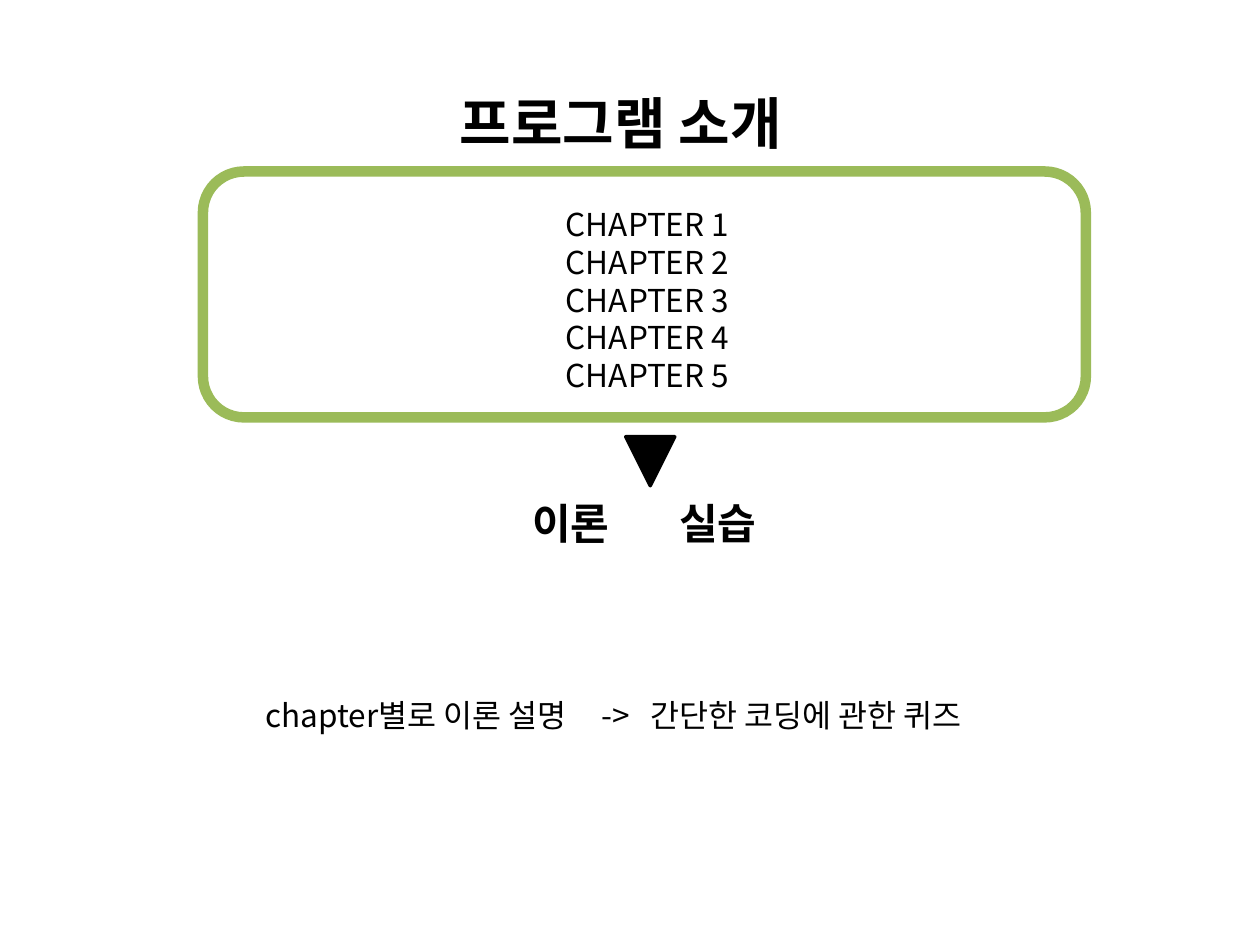
import pptx
import pptx.dml.color
import pptx.enum.shapes
import pptx.enum.text
import pptx.oxml.ns
import pptx.util
from lxml import etree

Pt = pptx.util.Pt
SHAPE = pptx.enum.shapes.MSO_SHAPE
ALIGN = pptx.enum.text.PP_ALIGN
qn = pptx.oxml.ns.qn


def rgb(value):
    return pptx.dml.color.RGBColor.from_string(value)


class Deck:
    font = "Noto Sans CJK KR"
    ink = "000000"
    paper = "FFFFFF"
    green = "9BBB59"
    line_height = 1.2

    def __init__(self, width, height):
        self.prs = pptx.Presentation()
        self.prs.slide_width, self.prs.slide_height = Pt(width), Pt(height)
        self.s = self.prs.slides.add_slide(self.prs.slide_layouts[6])

    def shape(self, kind, x, y, w, h, fill, line, weight):
        sp = self.s.shapes.add_shape(kind, Pt(x), Pt(y), Pt(w), Pt(h))
        sp.shadow.inherit = False
        sp.fill.solid()
        sp.fill.fore_color.rgb = rgb(fill)
        sp.line.color.rgb = rgb(line)
        sp.line.width = Pt(weight)
        etree.SubElement(sp.element.spPr.find(qn("a:ln")), qn("a:round"))

    def text(self, text, x, y, w, h, size=18, bold=False,
             align=ALIGN.LEFT, inset=7.2, tabs=()):
        """Add one paragraph per line of text; tabs are stops from the inset."""
        sp = self.s.shapes.add_textbox(Pt(x), Pt(y), Pt(w), Pt(h))
        tf = sp.text_frame
        tf.word_wrap = True
        tf.margin_left = Pt(inset)
        # Tight line spacing lifts the first line, so the top inset offsets it.
        tf.margin_top = Pt(3.6 + 0.11 * size)
        for i, line in enumerate(text.split("\n")):
            p = tf.add_paragraph() if i else tf.paragraphs[0]
            p.alignment = align
            p.line_spacing = Pt(self.line_height * size)
            if tabs:
                stops = etree.SubElement(p._p.get_or_add_pPr(), qn("a:tabLst"))
                for stop in tabs:
                    etree.SubElement(stops, qn("a:tab"), pos=str(Pt(stop)), algn="l")
            r = p.add_run()
            r.text = line
            r.font.name = self.font
            r.font.size = Pt(size)
            r.font.bold = bold
            r.font.color.rgb = rgb(self.ink)
            etree.SubElement(r.font._element, qn("a:ea"), typeface=self.font)


def main():
    deck = Deck(720, 540)
    deck.shape(SHAPE.ROUNDED_RECTANGLE, 116, 98, 504.5, 140.5,
               deck.paper, deck.green, 6)
    chapters = "\n".join(f"CHAPTER {n}" for n in range(1, 6))
    deck.text(chapters, 228, 111.6, 284, 116.6, align=ALIGN.CENTER)
    deck.shape(SHAPE.FLOWCHART_MERGE, 357.6, 249.6, 28, 28,
               deck.ink, deck.ink, 2)
    deck.text("이론\t실습", 172, 278, 392.4, 36, size=24, bold=True,
              inset=132, tabs=[84])
    deck.text("프로그램 소개", 255.6, 43.2, 260.6, 46, size=32, bold=True)
    deck.text("chapter별로 이론 설명\t->\t간단한 코딩에 관한 퀴즈",
              144.7, 392.4, 476, 51, tabs=[192, 220])
    deck.prs.save("out.pptx")


if __name__ == "__main__":
    main()
